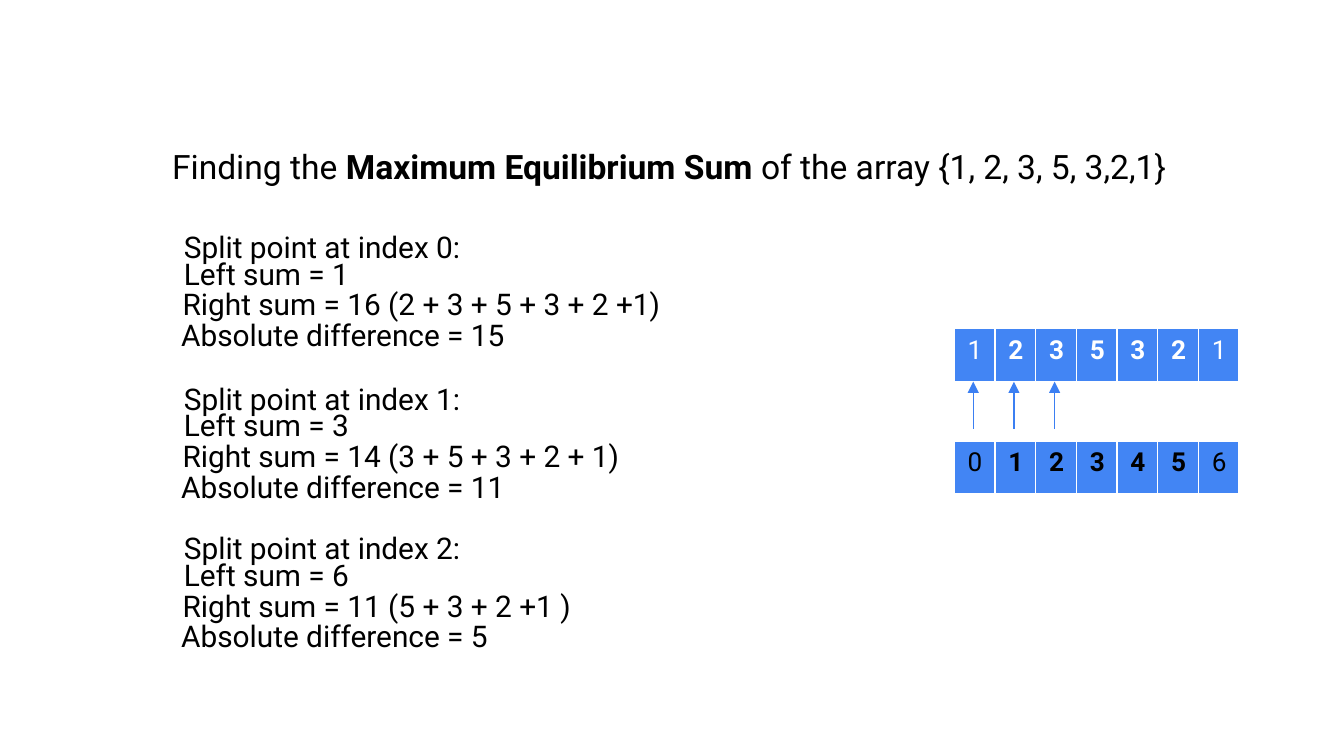
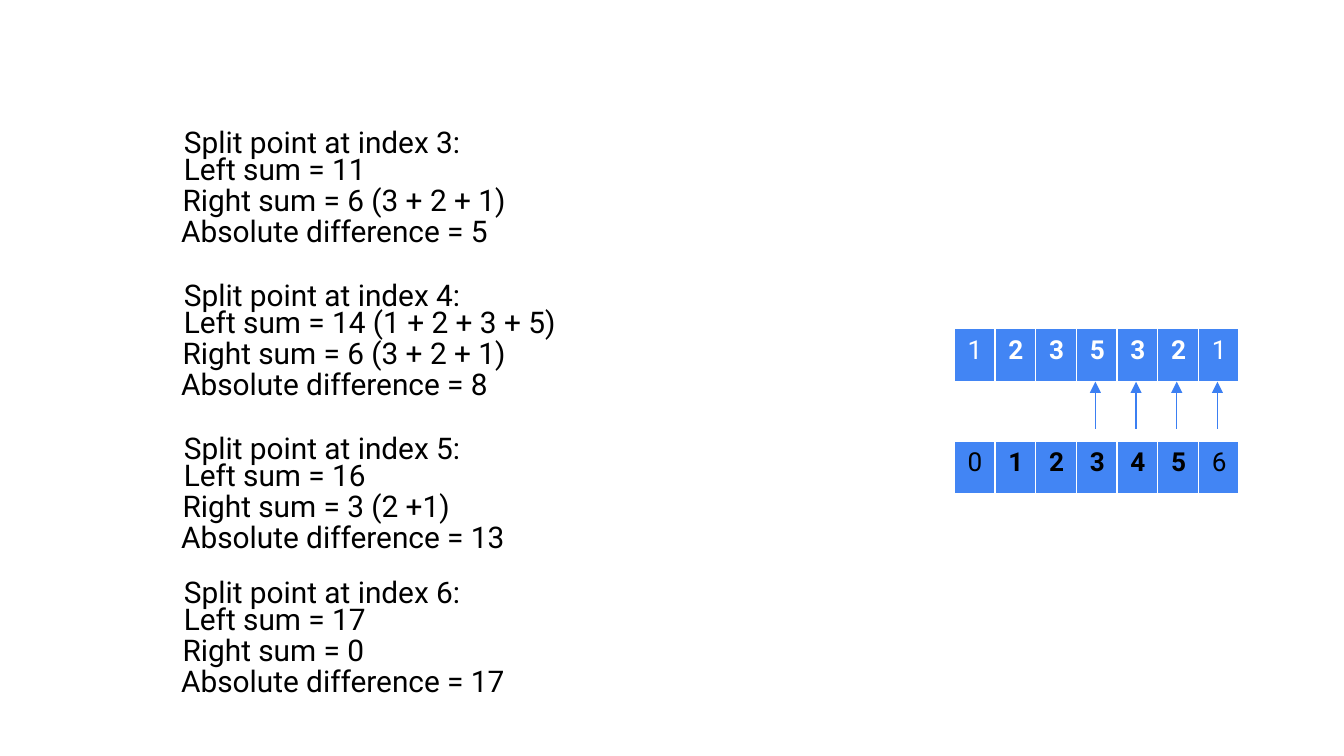
from dataclasses import dataclass

from lxml.etree import SubElement
from pptx import Presentation
from pptx.dml.color import RGBColor as RGB
from pptx.enum.shapes import MSO_CONNECTOR as CONN
from pptx.enum.text import PP_ALIGN as ALIGN
from pptx.oxml import parse_xml
from pptx.oxml.ns import nsdecls, qn
from pptx.util import Inches, Pt


@dataclass(frozen=True)
class Theme:
    font: str = "Roboto"
    ink: str = "000000"
    paper: str = "FFFFFF"
    cell: str = "4285F4"
    arrow: str = "3B7FF2"
    title_size: int = 18
    body_size: int = 16
    cell_size: int = 14


THEME = Theme()
VALUES = (1, 2, 3, 5, 3, 2, 1)
ARRAY_LEFT, ARRAY_WIDTH, ROW_HEIGHT = 7.1, 2.12, 0.41
VALUES_TOP, INDEXES_TOP = 2.44, 3.28
CELL_WIDTH = ARRAY_WIDTH / len(VALUES)
BORDERS = {"lnL": 1, "lnR": 1, "lnT": 1, "lnB": 3}
STEP_LEFTS = (1.15, 1.15, 1.14, 1.13)
STEP_OFFSETS = (0, 0.2, 0.43, 0.66)

# Each step: top, index, left sum, right sum, absolute difference
FIRST_STEPS = (
    (1.65, 0, "1", "16 (2 + 3 + 5 + 3 + 2 +1)", 15),
    (2.78, 1, "3", "14 (3 + 5 + 3 + 2 + 1)", 11),
    (3.89, 2, "6", "11 (5 + 3 + 2 +1 )", 5),
)
LAST_STEPS = (
    (0.87, 3, "11", "6 (3 + 2 + 1)", 5),
    (2.01, 4, "14 (1 + 2 + 3 + 5)", "6 (3 + 2 + 1)", 8),
    (3.15, 5, "16", "3 (2 +1)", 13),
    (4.22, 6, "17", "0", 17),
)


def style(p, size, color):
    p.font.name = THEME.font
    p.font.size = Pt(size)
    p.font.color.rgb = RGB.from_string(color)


def add_text(s, left, top, width, height, runs, size):
    """Add a one-paragraph box from (text, bold) runs and return the paragraph."""
    tf = s.shapes.add_textbox(Inches(left), Inches(top), Inches(width), Inches(height)).text_frame
    tf.word_wrap = True
    p = tf.paragraphs[0]
    for text, bold in runs:
        r = p.add_run()
        r.text = text
        r.font.bold = bold
    style(p, size, THEME.ink)
    return p


def add_title(s):
    runs = (
        ("Finding the ", False),
        ("Maximum Equilibrium Sum", True),
        (" of the array {1, 2, 3, 5, 3,2,1}", False),
    )
    p = add_text(s, 0.11, 1.04, 9.74, 0.67, runs, THEME.title_size)
    p.alignment = ALIGN.CENTER


def add_step(s, top, index, left_sum, right_sum, difference):
    lines = (
        f"Split point at index {index}:",
        f"Left sum = {left_sum}",
        f"Right sum = {right_sum}",
        f"Absolute difference = {difference}",
    )
    for left, offset, line in zip(STEP_LEFTS, STEP_OFFSETS, lines):
        p = add_text(s, left, top + offset, 5.15, 0.37, [(line, False)], THEME.body_size)
        p._p.get_or_add_pPr().set("marL", str(Inches(0.12)))


def add_borders(cell):
    tc_pr = cell._tc.get_or_add_tcPr()
    for i, (tag, width) in enumerate(BORDERS.items()):
        tc_pr.insert(i, parse_xml(
            f'<a:{tag} {nsdecls("a")} w="{Pt(width)}"><a:solidFill>'
            f'<a:srgbClr val="{THEME.paper}"/></a:solidFill></a:{tag}>'))


def add_array_row(s, top, numbers, color):
    table = s.shapes.add_table(1, len(numbers), Inches(ARRAY_LEFT), Inches(top),
                               Inches(ARRAY_WIDTH), Inches(ROW_HEIGHT)).table
    table.first_row = table.horz_banding = False
    for i, number in enumerate(numbers):
        table.columns[i].width = Inches(CELL_WIDTH)
        cell = table.cell(0, i)
        cell.text = str(number)
        cell.fill.solid()
        cell.fill.fore_color.rgb = RGB.from_string(THEME.cell)
        add_borders(cell)
        p = cell.text_frame.paragraphs[0]
        style(p, THEME.cell_size, color)
        p.font.bold = 0 < i < len(numbers) - 1


def add_index_arrow(s, index):
    x = Inches(ARRAY_LEFT + CELL_WIDTH * (index + 0.5) - 0.01)
    arrow = s.shapes.add_connector(CONN.STRAIGHT, x, Inches(3.19), x, Inches(2.84))
    arrow.line.color.rgb = RGB.from_string(THEME.arrow)
    arrow.line.width = Pt(0.75)
    SubElement(arrow.line._get_or_add_ln(), qn("a:tailEnd"), type="triangle")
    SubElement(arrow._element.spPr, qn("a:effectLst"))


def add_steps_slide(prs, steps):
    s = prs.slides.add_slide(prs.slide_layouts[6])
    add_array_row(s, VALUES_TOP, VALUES, THEME.paper)
    add_array_row(s, INDEXES_TOP, range(len(VALUES)), THEME.ink)
    for step in steps:
        add_index_arrow(s, step[1])
        add_step(s, *step)
    return s


def main():
    prs = Presentation()
    prs.slide_width = Inches(10)
    prs.slide_height = prs.slide_width * 9 // 16
    add_title(add_steps_slide(prs, FIRST_STEPS))
    add_steps_slide(prs, LAST_STEPS)
    prs.save("out.pptx")


if __name__ == "__main__":
    main()
